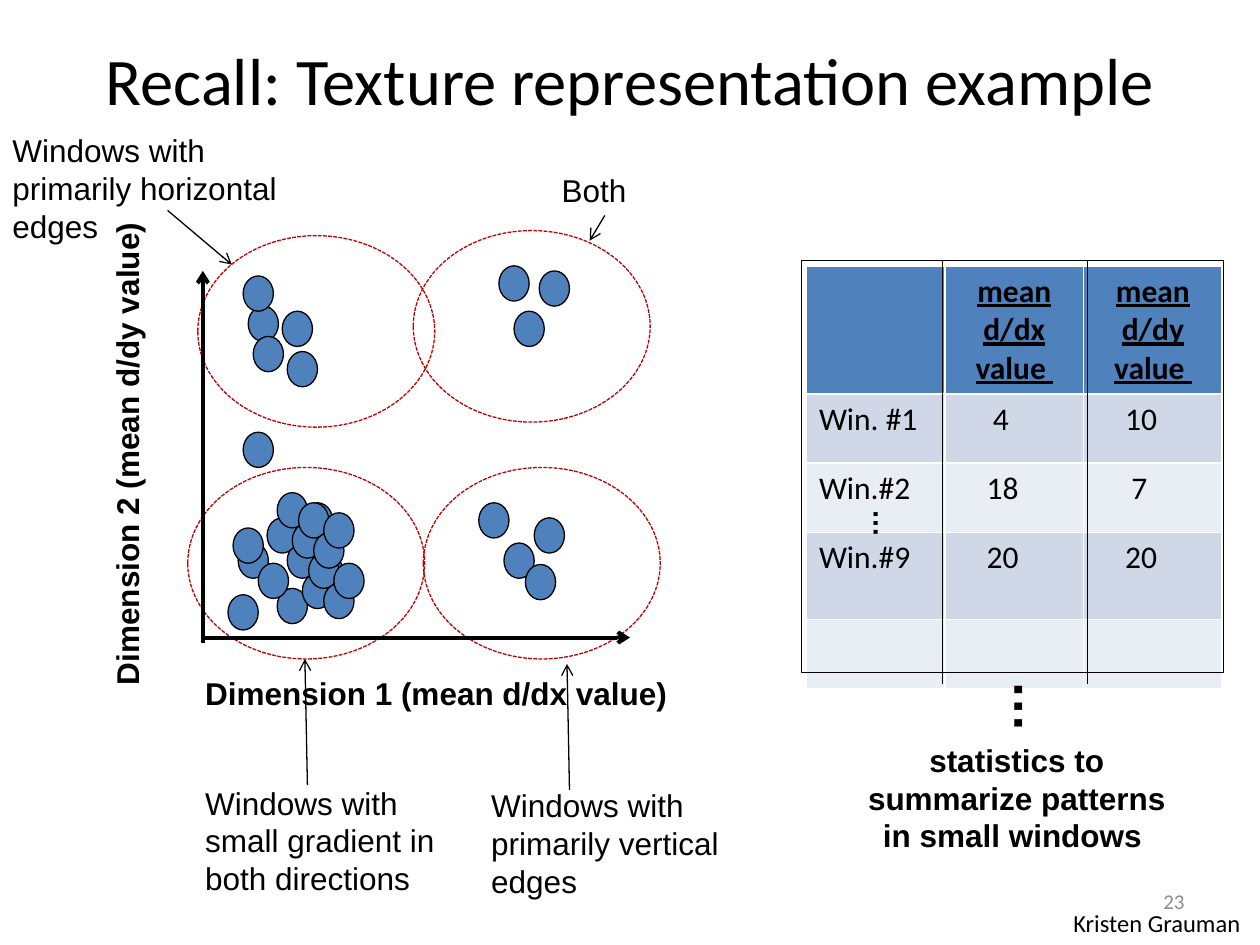
import pptx
import pptx.dml.color
import pptx.enum.dml
import pptx.enum.shapes
import pptx.enum.text
import pptx.oxml
import pptx.util

Inches = pptx.util.Inches
Pt = pptx.util.Pt
Align = pptx.enum.text.PP_ALIGN
Anchor = pptx.enum.text.MSO_ANCHOR
Shape = pptx.enum.shapes.MSO_SHAPE
color = pptx.dml.color.RGBColor.from_string
NS = 'xmlns:a="http://schemas.openxmlformats.org/drawingml/2006/main"'


def write(frame, text, size=18, face="Arial", bold=False, align=Align.LEFT, ink="000000"):
    """Fill a text frame with one styled run and return the run."""
    par = frame.paragraphs[0]
    par.alignment = align
    run = par.add_run()
    run.text = text
    run.font.size = Pt(size)
    run.font.name = face
    run.font.bold = bold
    run.font.color.rgb = color(ink)
    return run


def draw(kind, left, top, width, height, ink, fill=None):
    """Add a thin-lined shape, hollow unless a fill is given."""
    shape = slide.shapes.add_shape(kind, Inches(left), Inches(top), Inches(width), Inches(height))
    shape.shadow.inherit = False
    if fill:
        shape.fill.solid()
        shape.fill.fore_color.rgb = color(fill)
    else:
        shape.fill.background()
    shape.line.color.rgb = color(ink)
    shape.line.width = Pt(0.75)
    return shape


deck = pptx.Presentation()
deck.slide_width = Inches(10)
deck.slide_height = Inches(7.5)
slide = deck.slides.add_slide(deck.slide_layouts[6])

# Table of window statistics
rows = [
    ("", "mean d/dx value ", "mean d/dy value "),
    ("Win. #1", "4", "10"),
    ("Win.#2", "18", "7"),
    ("Win.#9", "20", "20"),
    ("", "", ""),
]
heights = [1, 0.55, 0.55, 0.69, 0.55]
fills = ["4F81BD", "D0D8E8", "E9EDF4", "D0D8E8", "E9EDF4"]
table = slide.shapes.add_table(
    5, 3, Inches(6.4), Inches(2.11), Inches(3.31), Inches(sum(heights))).table
for col in table.columns:
    col.width = Inches(1.1)
for r, row in enumerate(rows):
    table.rows[r].height = Inches(heights[r])
    for c, text in enumerate(row):
        cell = table.cell(r, c)
        cell.fill.solid()
        cell.fill.fore_color.rgb = color(fills[r])
        if not text:
            continue
        head = r == 0
        run = write(cell.text_frame, text, face="Calibri", bold=head,
                    align=Align.CENTER if head else Align.LEFT)
        run.font.underline = head
        if c and not head:
            cell.margin_left = Inches(0.38 if len(text) == 1 else 0.33)

draw(Shape.RECTANGLE, 6.36, 2.07, 3.35, 3.27, "000000")

# Sample points
dots = [
    (1.93, 3.43), (3.8, 3.99), (4.28, 2.15), (3.96, 2.11), (4.08, 2.47), (4, 4.31),
    (1.97, 2.43), (2.28, 2.79), (4.24, 4.11), (1.89, 4.31), (2.2, 4.67), (2.28, 4.31),
    (2.4, 4.55), (1.81, 4.72), (2.05, 4.47), (2.12, 4.11), (2.48, 4.39), (1.85, 4.19),
    (2.24, 2.47), (1.93, 2.19), (4.17, 4.48), (2.01, 2.67), (2.45, 4.39), (2.57, 4.63),
    (2.65, 4.47), (2.2, 3.91), (2.32, 4.15), (2.4, 3.99), (2.37, 3.99), (2.49, 4.23),
    (2.57, 4.07),
]
for left, top in dots:
    draw(Shape.OVAL, left, top, 0.24, 0.28, "000000", "4F81BD")

# Dashed rings around the clusters
for left, top in [(1.49, 3.71), (3.36, 3.71), (1.57, 1.87), (3.28, 1.83)]:
    ring = draw(Shape.OVAL, left, top, 1.88, 1.52, "C00000")
    ring.line.dash_style = pptx.enum.dml.MSO_LINE.SQUARE_DOT

# Table rules, axes and pointers: ends, width, arrowhead
lines = [
    (7.48, 2.07, 7.48, 5.43, 0.75, False),
    (8.63, 2.07, 8.63, 5.43, 0.75, False),
    (1.61, 5.06, 5, 5.06, 2.25, True),
    (1.61, 5.1, 1.61, 2.15, 2.25, True),
    (2.44, 6.23, 2.42, 5.23, 0.75, True),
    (4.52, 6.27, 4.5, 5.27, 0.75, True),
    (1.33, 1.67, 1.84, 2.1, 0.75, True),
    (4.8, 1.71, 4.68, 1.91, 0.75, True),
]
for *ends, width, arrow in lines:
    line = slide.shapes.add_connector(
        pptx.enum.shapes.MSO_CONNECTOR.STRAIGHT, *[Inches(end) for end in ends])
    line.line.color.rgb = color("000000")
    line.line.width = Pt(width)
    if arrow:
        line.line._get_or_add_ln().append(
            pptx.oxml.parse_xml(f'<a:tailEnd {NS} type="arrow"/>'))
    line._element.spPr.append(pptx.oxml.parse_xml(f"<a:effectLst {NS}/>"))

# Text boxes: text, place, turn, anchor, style
mid, top = Anchor.MIDDLE, Anchor.TOP
strong = dict(bold=True)
notes = [
    ("Recall: Texture representation example", (0, 0, 10, 1.25), 0, mid,
     dict(size=38, face="Calibri", align=Align.CENTER)),
    ("statistics to summarize patterns in small windows ", (6.67, 5.83, 2.8, 1.01), 0, top,
     dict(bold=True, align=Align.CENTER)),
    ("…", (7.31, 5.9, 1.8, 0.61), 90, top, dict(size=30, bold=True)),
    ("…", (5.38, 5.4, 3.28, 0.37), 90, top, dict(size=16, bold=True)),
    ("Dimension 1 (mean d/dx value)", (1.53, 5.3, 4.91, 0.4), 0, top, strong),
    ("Dimension 2 (mean d/dy value)", (-1.45, 2.88, 4.91, 0.4), 270, top, strong),
    ("Windows with small gradient in both directions", (1.53, 6.17, 2.08, 1.01), 0, top, {}),
    ("Windows with primarily vertical edges", (3.8, 6.19, 2.08, 1.01), 0, top, {}),
    ("Windows with primarily horizontal edges", (0, 0.99, 2.36, 1.01), 0, top, {}),
    ("Both", (4.36, 1.31, 2.08, 0.4), 0, top, {}),
    ("Kristen Grauman", (8.42, 7.16, 1.58, 0.34), 0, top, dict(size=14, face="Calibri")),
    ("23", (7.17, 6.95, 2.33, 0.4), 0, mid,
     dict(size=12, face="Calibri", align=Align.RIGHT, ink="8C8C8C")),
]
for text, place, turn, anchor, style in notes:
    box = slide.shapes.add_textbox(*[Inches(part) for part in place])
    box.rotation = turn
    box.text_frame.word_wrap = True
    box.text_frame.vertical_anchor = anchor
    write(box.text_frame, text, **style)

deck.save("out.pptx")
